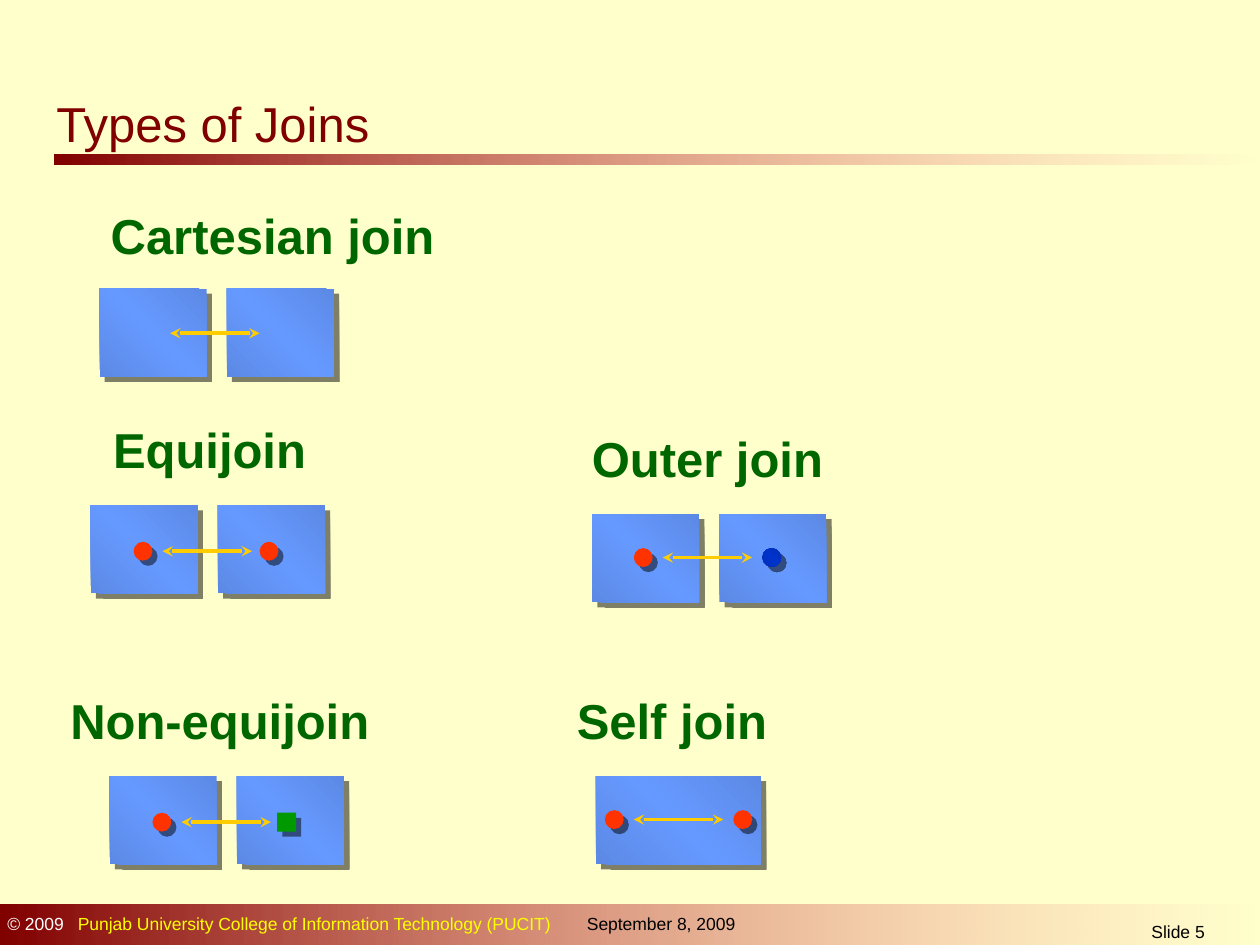
from lxml import etree
from pptx import Presentation
from pptx.dml.color import RGBColor as RGB
from pptx.enum.shapes import MSO_CONNECTOR as CONN, MSO_SHAPE as SHAPE
from pptx.enum.text import MSO_ANCHOR as ANCHOR, PP_ALIGN as ALIGN
from pptx.oxml import parse_xml
from pptx.oxml.ns import nsdecls, qn
from pptx.util import Inches, Pt

COLORS = {
    "cream": "FFFFCC", "maroon": "800000", "pink": "FF8585", "white": "FFFFFF",
    "yellow": "FFFF00", "black": "000000", "label": "006600", "arrow": "FFCC00",
    "table": "6699FF", "table_edge": "5C89E5", "red": "FF3300",
    "green": "009900", "blue": "0033CC", "blue_edge": "002EB7",
}
BARS = [(0.43, 1.23, 9.57, 0.08), (0, 7.18, 10, 0.32)]
FADE = [(0, "maroon", 100), (100, "pink", 0)]
SHEEN = {
    "table": [(0, "table_edge", 100), (50, "table", 100), (100, "table_edge", 100)],
    "blue": [(0, "blue_edge", 100), (50, "blue", 100), (100, "blue_edge", 100)],
}
HEADING = {"size": Pt(28), "name": "Arial"}
LABEL = {"size": Pt(28), "name": "Arial", "bold": True}
SMALL = {"size": Pt(10), "name": "Arial"}
TEXTS = [
    ((0.35, 0.72, 2.87, 0.54), [("Types of Joins", "maroon")], HEADING,
     {"anchor": ANCHOR.BOTTOM}),
    ((-0.04, 7.2, 6.46, 0.27),
     [("© 2009", "white"),
      ("\tPunjab University College of Information Technology (PUCIT)", "yellow")],
     SMALL, {"tab": 0.56}),
    ((4.56, 7.2, 1.54, 0.27), [("September 8, 2009", "black")], SMALL, {}),
    ((8.31, 7.26, 2.08, 0.24), [("Slide 5", "black")], SMALL,
     {"align": ALIGN.CENTER}),
]

PAIR = [(0, 0.85), (1.01, 0.85)]
SINGLE = [(0, 1.31)]
DOT, SQUARE = SHAPE.OVAL, SHAPE.RECTANGLE
TABLE_H, MARK, ARROW_GAP, ARROW_W = 0.7, 0.15, 0.23, 0.71
JOINS = [
    {"label": "Cartesian join", "box": (0.66, 1.58, 3.42), "at": (0.79, 2.29),
     "tables": PAIR, "first": (0.33, 0.28), "marks": []},
    {"label": "Equijoin", "box": (0.68, 3.28, 2.87), "at": (0.72, 4.01),
     "tables": PAIR, "first": (0.34, 0.29),
     "marks": [(0, DOT, "red"), (1, DOT, "red")]},
    {"label": "Outer join", "box": (4.48, 3.35, 2.87), "at": (4.7, 4.08),
     "tables": PAIR, "first": (0.33, 0.27),
     "marks": [(0, DOT, "red"), (1.02, DOT, "blue")]},
    {"label": "Non-equijoin", "box": (0.34, 5.43, 2.87), "at": (0.87, 6.16),
     "tables": PAIR, "first": (0.34, 0.29),
     "marks": [(0, DOT, "red"), (0.99, SQUARE, "green")]},
    {"label": "Self join", "box": (4.36, 5.43, 2.04), "at": (4.73, 6.16),
     "tables": SINGLE, "first": (0.07, 0.27),
     "marks": [(0, DOT, "red"), (1.02, DOT, "red")]},
]


def rgb(name):
    return RGB.from_string(COLORS[name])


def fill_gradient(sp, stops, angle):
    gs = "".join(
        f'<a:gs pos="{pos * 1000}"><a:srgbClr val="{COLORS[c]}">'
        f'<a:alpha val="{alpha * 1000}"/></a:srgbClr></a:gs>'
        for pos, c, alpha in stops)
    spPr = sp._element.spPr
    spPr.find(qn("a:prstGeom")).addnext(parse_xml(
        f'<a:gradFill {nsdecls("a")} rotWithShape="1"><a:gsLst>{gs}</a:gsLst>'
        f'<a:lin ang="{angle * 60000}" scaled="0"/></a:gradFill>'))


def add_shape(shapes, kind, box):
    sp = shapes.add_shape(kind, *map(Inches, box))
    sp.line.fill.background()
    sp.shadow.inherit = False
    return sp


def add_shadowed(shapes, kind, box, color):
    sp = add_shape(shapes, kind, box)
    if color in SHEEN:
        fill_gradient(sp, SHEEN[color], 315)
    else:
        sp.fill.solid()
        sp.fill.fore_color.rgb = rgb(color)
    sp._element.spPr.find(qn("a:effectLst")).append(parse_xml(
        f'<a:outerShdw {nsdecls("a")} dist="{Pt(4.2)}" dir="2700000" algn="ctr" '
        f'rotWithShape="0"><a:srgbClr val="{COLORS["black"]}">'
        f'<a:alpha val="50000"/></a:srgbClr></a:outerShdw>'))


def add_arrow(shapes, x, y):
    line = shapes.add_connector(
        CONN.STRAIGHT, *map(Inches, (x, y, x + ARROW_W, y)))
    line.line.color.rgb = rgb("arrow")
    line.line.width = Pt(2)
    for end in ("a:headEnd", "a:tailEnd"):
        etree.SubElement(line.line._ln, qn(end), type="stealth")
    etree.SubElement(line._element.spPr, qn("a:effectLst"))


def add_text(s, box, runs, style, anchor=ANCHOR.TOP, align=ALIGN.LEFT, tab=None,
             indent=0):
    tf = s.shapes.add_textbox(*map(Inches, box)).text_frame
    tf.word_wrap = True
    tf.vertical_anchor = anchor
    p = tf.paragraphs[0]
    p.alignment = align
    pPr = p._p.get_or_add_pPr()
    if indent:
        pPr.set("marL", str(Inches(indent)))
        pPr.set("indent", "0")
    if tab:
        tabs = etree.SubElement(pPr, qn("a:tabLst"))
        etree.SubElement(tabs, qn("a:tab"), pos=str(Inches(tab)), algn="l")
    for text, color in runs:
        r = p.add_run()
        r.text = text
        for name, value in style.items():
            setattr(r.font, name, value)
        r.font.color.rgb = rgb(color)


def add_join(s, join):
    x, y = join["at"]
    dx, dy = join["first"]
    shapes = s.shapes.add_group_shape().shapes
    for left, width in join["tables"]:
        add_shadowed(shapes, SHAPE.RECTANGLE, (x + left, y, width, TABLE_H), "table")
    for shift, kind, color in join["marks"]:
        add_shadowed(shapes, kind, (x + dx + shift, y + dy, MARK, MARK), color)
    add_arrow(shapes, x + dx + ARROW_GAP, y + dy + MARK / 2)
    add_text(s, (*join["box"], 0.54), [(join["label"], "label")], LABEL, indent=0.12)


def main():
    prs = Presentation()
    prs.slide_width, prs.slide_height = Inches(10), Inches(7.5)
    s = prs.slides.add_slide(prs.slide_layouts[6])
    s.background.fill.solid()
    s.background.fill.fore_color.rgb = rgb("cream")
    for bar in BARS:
        fill_gradient(add_shape(s.shapes, SHAPE.RECTANGLE, bar), FADE, 0)
    for box, runs, style, options in TEXTS:
        add_text(s, box, runs, style, **options)
    for join in JOINS:
        add_join(s, join)
    prs.save("out.pptx")


if __name__ == "__main__":
    main()
